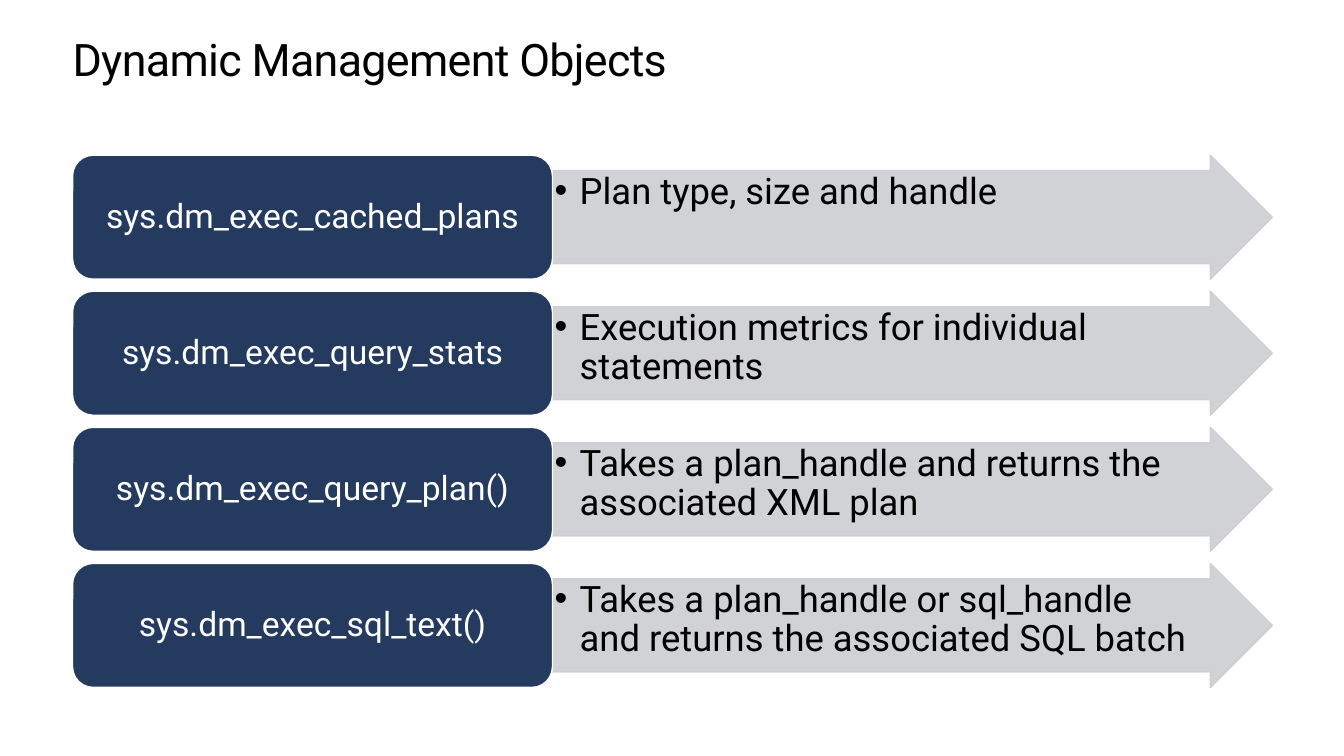
from lxml.etree import SubElement
from pptx import Presentation
from pptx.dml.color import RGBColor
from pptx.enum.shapes import MSO_SHAPE
from pptx.enum.text import MSO_ANCHOR, PP_ALIGN
from pptx.oxml.ns import qn
from pptx.util import Inches, Pt

TITLE = "Dynamic Management Objects"
ROWS = [
    ("sys.dm_exec_cached_plans", "Plan type, size and handle"),
    ("sys.dm_exec_query_stats", "Execution metrics for individual statements"),
    ("sys.dm_exec_query_plan()", "Takes a plan_handle and returns the associated XML plan"),
    ("sys.dm_exec_sql_text()", "Takes a plan_handle or sql_handle and returns the associated SQL batch"),
]
COLORS = {"navy": "243A5E", "gray": "CDCED2", "white": "FFFFFF", "black": "000000"}
FONT = "Roboto"
LEFT, TOP = 0.72, 1.54
NAME_WIDTH, ARROW_WIDTH = 4.76, 7.14
ROW_HEIGHT, ROW_STEP = 1.23, 1.35


def color(name):
    return RGBColor.from_string(COLORS[name])


def write(shape, text, size, ink, align=PP_ALIGN.LEFT, anchor=MSO_ANCHOR.TOP,
          margins=(0, 0, 0, 0), line_spacing=0.9, bullet=False, tracking=None):
    frame = shape.text_frame
    frame.word_wrap = True
    frame.vertical_anchor = anchor
    (frame.margin_left, frame.margin_top,
     frame.margin_right, frame.margin_bottom) = map(Inches, margins)
    paragraph = frame.paragraphs[0]
    paragraph.alignment = align
    paragraph.line_spacing = line_spacing
    if bullet:
        properties = paragraph._p.get_or_add_pPr()
        properties.set("marL", str(Inches(0.25)))
        properties.set("indent", str(-Inches(0.25)))
        SubElement(properties, qn("a:buFont"), typeface="Arial")
        SubElement(properties, qn("a:buChar"), char="•")
    run = paragraph.add_run()
    run.text = text
    run.font.name = FONT
    run.font.size = Pt(size)
    run.font.color.rgb = color(ink)
    if tracking is not None:
        run._r.get_or_add_rPr().set("spc", str(int(tracking * 100)))


def add_block(slide, kind, left, top, width, fill, line, opacity=None):
    shape = slide.shapes.add_shape(
        kind, Inches(left), Inches(top), Inches(width), Inches(ROW_HEIGHT))
    shape.shadow.inherit = False
    shape.fill.solid()
    shape.fill.fore_color.rgb = color(fill)
    shape.line.color.rgb = color(line)
    shape.line.width = Pt(1)
    if opacity is not None:
        for tint in shape._element.spPr.iter(qn("a:srgbClr")):
            SubElement(tint, qn("a:alpha"), val=str(opacity * 1000))
    return shape


def main():
    presentation = Presentation()
    presentation.slide_width = Inches(13.33)
    presentation.slide_height = Inches(7.5)
    slide = presentation.slides.add_slide(presentation.slide_layouts[6])

    title = slide.shapes.add_textbox(
        Inches(LEFT), Inches(0.35), Inches(NAME_WIDTH + ARROW_WIDTH), Inches(0.5))
    write(title, TITLE, 32, "black", line_spacing=Pt(36.2), tracking=-0.5)

    for index, (name, description) in enumerate(ROWS):
        top = TOP + index * ROW_STEP
        arrow = add_block(slide, MSO_SHAPE.RIGHT_ARROW, LEFT + NAME_WIDTH, top,
                          ARROW_WIDTH, "gray", "gray", opacity=90)
        arrow.adjustments[0] = 0.75
        arrow.adjustments[1] = 0.5
        write(arrow, description, 26, "black", bullet=True,
              margins=(0.02, 0.02, 0.33, 0.02))
        box = add_block(slide, MSO_SHAPE.ROUNDED_RECTANGLE, LEFT, top,
                        NAME_WIDTH, "navy", "white")
        write(box, name, 24, "white", align=PP_ALIGN.CENTER,
              anchor=MSO_ANCHOR.MIDDLE, margins=(0.1, 0.05, 0.1, 0.05))

    presentation.save("out.pptx")


if __name__ == "__main__":
    main()
